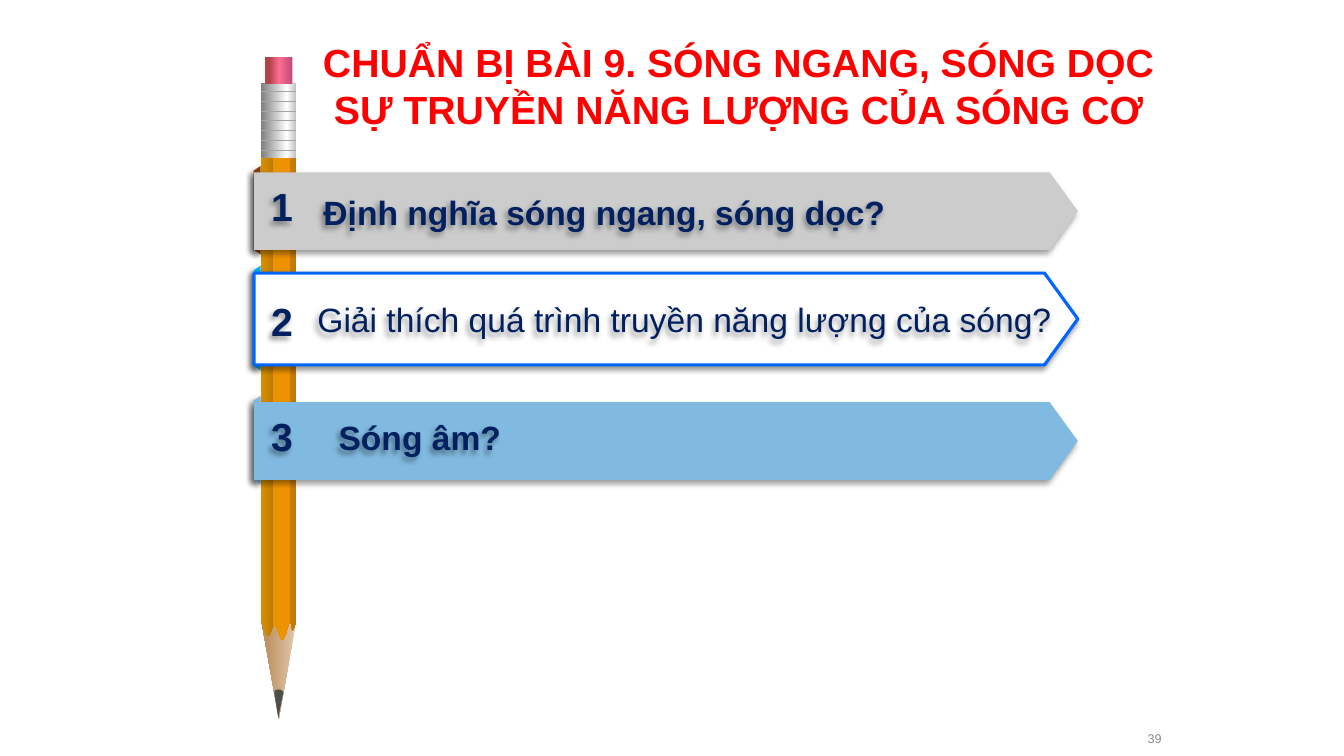
from lxml.etree import SubElement
from pptx import Presentation
from pptx.dml.color import RGBColor
from pptx.enum.shapes import MSO_CONNECTOR, MSO_SHAPE
from pptx.enum.text import MSO_ANCHOR, PP_ALIGN
from pptx.oxml.ns import qn
from pptx.util import Inches, Pt

# Content
TITLE = ["CHUẨN BỊ BÀI 9. SÓNG NGANG, SÓNG DỌC",
         "SỰ TRUYỀN NĂNG LƯỢNG CỦA SÓNG CƠ"]
PAGE = "39"

RED = RGBColor(0xFF, 0x00, 0x00)
NAVY = RGBColor(0x00, 0x20, 0x60)
GRAY = RGBColor(0x89, 0x89, 0x89)
RING = RGBColor(0xA5, 0xA5, 0xA5)
LEAD = RGBColor(0x4C, 0x50, 0x4C)
SILVER = RGBColor(0xCC, 0xCC, 0xCC)
WHITE = RGBColor(0xFF, 0xFF, 0xFF)
SKY = RGBColor(0x81, 0xBA, 0xE0)
BLUE = RGBColor(0x00, 0x66, 0xFF)
CYAN = RGBColor(0x00, 0xB0, 0xF0)
BROWN = RGBColor(0x88, 0x3F, 0x08)

# Bars: top, height, fill, outline, fold colour, number top, text, text box, bold
BARS = [
    (1.71, 0.77, SILVER, None, BROWN, 1.76,
     "Định nghĩa sóng ngang, sóng dọc?", (3.11, 1.85, 7.43, 0.51), True),
    (2.71, 0.91, WHITE, BLUE, CYAN, 2.9,
     "Giải thích quá trình truyền năng lượng của sóng?",
     (3.05, 2.92, 7.54, 0.51), False),
    (3.99, 0.77, SKY, None, SKY, 4.04,
     "Sóng âm?", (3.26, 4.09, 1.83, 0.51), True),
]

# Pencil colours: (percent, colour)
WOOD = [(0, "E1C9AF"), (100, "B88954")]
PAINT = [(0, "D88F00"), (33, "BD7C03"), (34, "EC9400"),
         (82, "EF9100"), (83, "C87B14"), (100, "BC7908")]
METAL = [(0, "BFBFBF"), (27, "FFFFFF"), (100, "7F7F7F")]
RUBBER = [(0, "B24349"), (16, "B24349"), (52, "FE6D93"), (100, "BE4B72")]

# Outlines: a pair is a corner, six numbers are a curve
BODY = [(2.59, 1.57), (2.94, 1.57), (2.94, 6.1),
        (2.93, 6.2, 2.92, 6.23, 2.9, 6.25),
        (2.88, 6.22, 2.89, 6.15, 2.88, 6.16),
        (2.86, 6.18, 2.83, 6.34, 2.8, 6.35),
        (2.78, 6.35, 2.75, 6.21, 2.72, 6.2),
        (2.7, 6.2, 2.68, 6.32, 2.66, 6.31),
        (2.62, 6.28, 2.6, 6.2, 2.59, 6.13)]
TIP = [(2.76, 6.84), (2.79, 6.84, 2.8, 6.85, 2.81, 6.87),
       (2.76, 7.12), (2.72, 6.87), (2.72, 6.85, 2.74, 6.84, 2.76, 6.84)]

deck = Presentation()
deck.slide_width, deck.slide_height = Inches(13.33), Inches(7.5)
slide = deck.slides.add_slide(deck.slide_layouts[6])
shapes = slide.shapes


def paint(shape, fill, angle=0, line=None):
    """Fill with a colour or a list of gradient stops."""
    shape.shadow.inherit = False
    if isinstance(fill, RGBColor):
        shape.fill.solid()
        shape.fill.fore_color.rgb = fill
    else:
        shape.fill.gradient()
        grad = shape._element.spPr.find(qn("a:gradFill"))
        for child in list(grad):
            grad.remove(child)
        stops = SubElement(grad, qn("a:gsLst"))
        for spot, color in fill:
            stop = SubElement(stops, qn("a:gs"), pos=str(spot * 1000))
            SubElement(stop, qn("a:srgbClr"), val=color)
        SubElement(grad, qn("a:lin"), ang=str(angle * 60000), scaled="0")
    if line is None:
        shape.line.fill.background()
    else:
        shape.line.color.rgb = line
        shape.line.width = Pt(2.25)


def preset(kind, box, fill, angle=0, turn=0, adj=None, line=None):
    shape = shapes.add_shape(kind, *map(Inches, box))
    shape.rotation = turn
    if adj is not None:
        shape.adjustments[0] = adj
    paint(shape, fill, angle, line)
    return shape


def shade(shape):
    shape.shadow.inherit = False
    effects = shape._element.spPr.find(qn("a:effectLst"))
    outer = SubElement(effects, qn("a:outerShdw"), blurRad=str(Pt(4)),
                       dist=str(Pt(3)), dir=str(135 * 60000),
                       algn="tr", rotWithShape="0")
    color = SubElement(outer, qn("a:srgbClr"), val="000000")
    SubElement(color, qn("a:alpha"), val="40000")


def outline(parts, fill):
    """Draw a closed outline, with each curve cut into short steps."""
    points = [parts[0]]
    for part in parts[1:]:
        if len(part) == 2:
            points.append(part)
            continue
        knots = [points[-1], part[:2], part[2:4], part[4:]]
        for step in range(1, 9):
            t = step / 8
            bends = ((1 - t) ** 3, 3 * t * (1 - t) ** 2,
                     3 * t * t * (1 - t), t ** 3)
            points.append(tuple(sum(b * k[i] for b, k in zip(bends, knots))
                                for i in (0, 1)))
    spots = [(Inches(x), Inches(y)) for x, y in points]
    pen = shapes.build_freeform(*spots[0])
    pen.add_line_segments(spots[1:], close=True)
    paint(pen.convert_to_shape(), fill)


def write(box, lines, size, color, bold=False, align=PP_ALIGN.LEFT,
          anchor=MSO_ANCHOR.TOP):
    label = shapes.add_textbox(*map(Inches, box))
    frame = label.text_frame
    frame.word_wrap = True
    frame.vertical_anchor = anchor
    frame.text = "\n".join(lines)
    for para in frame.paragraphs:
        para.alignment = align
        for run in para.runs:
            font = run.font
            font.name, font.size, font.bold = "Arial", Pt(size), bold
            font.color.rgb = color
    return label


# Title and page number
write((3.06, 0.33, 8.53, 1.04), TITLE, 28, RED, True,
      PP_ALIGN.CENTER, MSO_ANCHOR.MIDDLE)
write((11.01, 7.13, 0.61, 0.4), [PAGE], 9, GRAY, False,
      PP_ALIGN.RIGHT, MSO_ANCHOR.MIDDLE)

# Pencil
preset(MSO_SHAPE.PENTAGON, (2.25, 6.44, 1.03, 0.35), WOOD, 90, 90, 2.816)
outline(BODY, PAINT)
preset(MSO_SHAPE.RECTANGLE, (2.59, 0.82, 0.35, 0.75), METAL, 180)
preset(MSO_SHAPE.RECTANGLE, (2.63, 0.57, 0.27, 0.26), RUBBER)
outline(TIP, LEAD)
for row in range(7):
    y = Inches(0.91 + row * 0.58 / 6)
    ring = shapes.add_connector(MSO_CONNECTOR.STRAIGHT,
                                Inches(2.59), y, Inches(2.94), y)
    ring.line.color.rgb = RING
    ring.line.width = Pt(0.75)
    SubElement(ring._element.spPr, qn("a:effectLst"))

# Folds behind the bars: each one turned upright at the left edge
for top, high, _, _, fold, *_ in reversed(BARS):
    long = round(high * 1.143, 2)
    middle = top + high / 2 - 0.01
    shade(preset(MSO_SHAPE.TRAPEZOID,
                 (2.55 - long / 2, middle - 0.035, long, 0.07),
                 fold, turn=270, adj=0.698))

# Bars
for top, high, fill, line, *_ in BARS:
    shade(preset(MSO_SHAPE.PENTAGON, (2.52, top, 8.17, high), fill,
                 adj=0.363, line=line))

# Numbers and questions
for number, bar in enumerate(BARS, 1):
    *_, top, text, box, bold = bar
    shade(write((2.59, top, 0.42, 0.58), [str(number)], 28, NAVY, True))
    shade(write(box, [text], 24, NAVY, bold))

deck.save("out.pptx")
